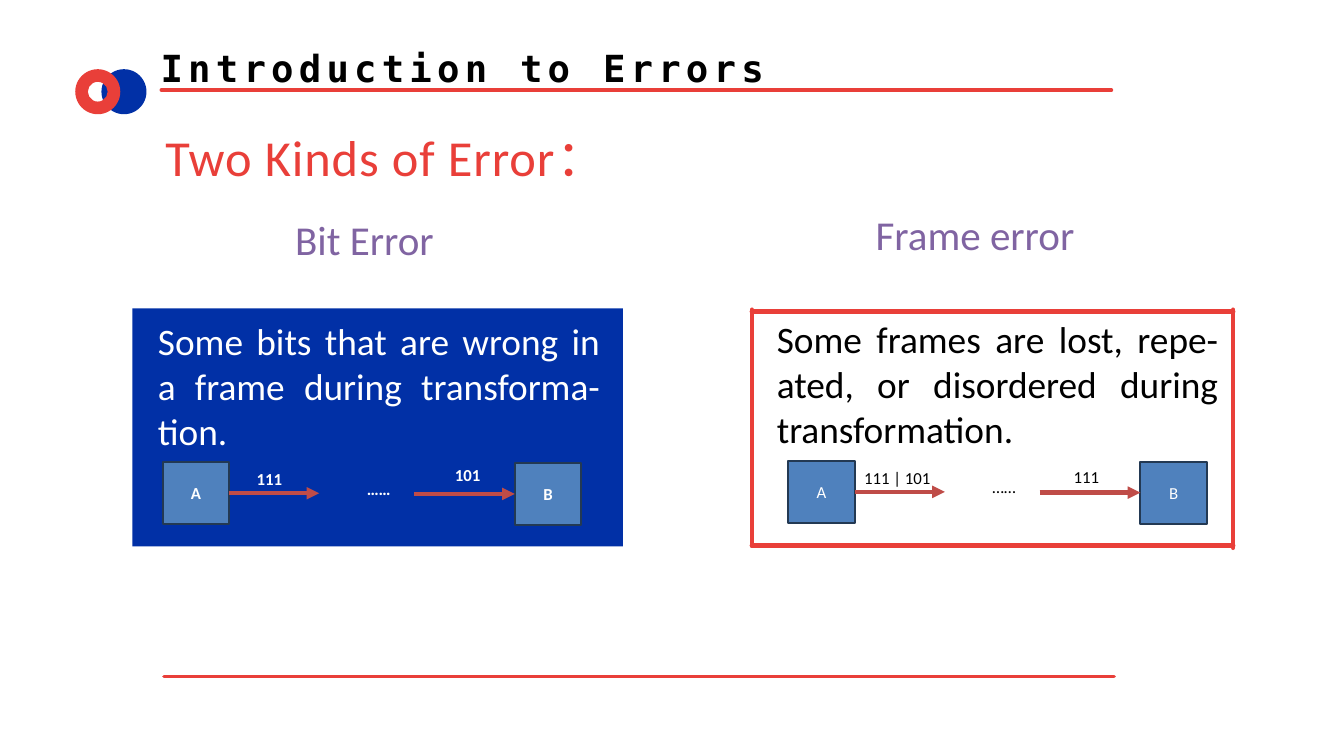
from dataclasses import dataclass

from lxml.etree import SubElement
from pptx import Presentation
from pptx.dml.color import RGBColor
from pptx.enum.shapes import MSO_CONNECTOR, MSO_SHAPE
from pptx.enum.text import MSO_ANCHOR, MSO_AUTO_SIZE, PP_ALIGN
from pptx.oxml.ns import qn
from pptx.util import Inches, Pt

RED, BLUE, PURPLE = "E93F39", "0130A6", "8064A2"
WHITE, BLACK = "FFFFFF", "000000"
NODE_FILL, NODE_LINE, ARROW = "4F81BD", "233953", "BF4C48"
NODE_WIDTH, NODE_HEIGHT, NODE_STEP = 0.99, 0.92, 5.24


@dataclass
class Style:
    size: float
    color: str
    bold: bool = False
    font: str = "Calibri"
    tracking: float = 0
    line_points: float = 0
    align: PP_ALIGN = PP_ALIGN.LEFT


@dataclass
class Label:
    text: str
    left: float
    top: float
    width: float = 0.99


@dataclass
class ErrorKind:
    name: str
    name_box: tuple[float, float, float, float]
    description: str
    description_box: tuple[float, float, float, float]
    left: float
    top: float
    receiver_drop: float
    color: str
    bold: bool
    labels: list[Label]


def rgb(color: str) -> RGBColor:
    return RGBColor.from_string(color)


def write(frame, text: str, style: Style) -> None:
    para = frame.paragraphs[0]
    para.alignment = style.align
    if style.line_points:
        para.line_spacing = Pt(style.line_points)
    span = para.add_run()
    span.text = text
    span.font.name = style.font
    span.font.size = Pt(style.size)
    span.font.bold = style.bold
    span.font.color.rgb = rgb(style.color)
    if style.tracking:
        span._r.get_or_add_rPr().set("spc", str(round(style.tracking * 100)))


def clear_margins(frame) -> None:
    frame.margin_left = frame.margin_right = 0
    frame.margin_top = frame.margin_bottom = 0


def add_text(page, text: str, bounds: tuple, style: Style, inset: bool = False) -> None:
    box = page.shapes.add_textbox(*map(Inches, bounds))
    frame = box.text_frame
    frame.word_wrap = True
    frame.auto_size = MSO_AUTO_SIZE.SHAPE_TO_FIT_TEXT
    if not inset:
        clear_margins(frame)
    write(frame, text, style)


def add_block(page, preset: MSO_SHAPE, bounds: tuple, fill: str, line: str = ""):
    shape = page.shapes.add_shape(preset, *map(Inches, bounds))
    shape.shadow.inherit = False
    shape.fill.solid()
    shape.fill.fore_color.rgb = rgb(fill)
    if line:
        shape.line.color.rgb = rgb(line)
        shape.line.width = Pt(2)
    else:
        shape.line.fill.background()
    return shape


def add_line(page, points: tuple, color: str, width: float, arrow: bool = False) -> None:
    line = page.shapes.add_connector(MSO_CONNECTOR.STRAIGHT, *map(Inches, points))
    line.line.color.rgb = rgb(color)
    line.line.width = Pt(width)
    outline = line.line._get_or_add_ln()
    if arrow:
        SubElement(outline, qn("a:tailEnd"), type="triangle")
    else:
        outline.set("cap", "rnd")
    SubElement(line._element.spPr, qn("a:effectLst"))


def add_node(page, name: str, left: float, top: float, bold: bool) -> None:
    bounds = (left, top, NODE_WIDTH, NODE_HEIGHT)
    node = add_block(page, MSO_SHAPE.RECTANGLE, bounds, NODE_FILL, NODE_LINE)
    node.text_frame.vertical_anchor = MSO_ANCHOR.MIDDLE
    write(node.text_frame, name, Style(18, WHITE, bold, align=PP_ALIGN.CENTER))


def add_error_kind(page, kind: ErrorKind) -> None:
    name_style = Style(44, PURPLE, line_points=36, align=PP_ALIGN.CENTER)
    add_text(page, kind.name, kind.name_box, name_style)
    body_style = Style(40, kind.color, align=PP_ALIGN.JUSTIFY)
    add_text(page, kind.description, kind.description_box, body_style)
    receiver = kind.left + NODE_STEP
    add_node(page, "A", kind.left, kind.top, kind.bold)
    add_node(page, "B", receiver, kind.top + kind.receiver_drop, kind.bold)
    middle = kind.top + NODE_HEIGHT / 2
    sender_edge = kind.left + NODE_WIDTH
    add_line(page, (sender_edge, middle, sender_edge + 1.34, middle), ARROW, 4.5, True)
    low = middle + 0.01
    add_line(page, (receiver - 1.5, low, receiver, low), ARROW, 4.5, True)
    for label in kind.labels:
        bounds = (label.left, label.top, label.width, 0.4)
        add_text(page, label.text, bounds, Style(18, kind.color, kind.bold), True)


KINDS = [
    ErrorKind(
        "Bit Error", (4.19, 3.42, 2.47, 0.54),
        "Some bits that are wrong in a frame during transforma-tion.",
        (2.35, 4.74, 6.58, 2.02), 2.42, 6.88, 0.01, WHITE, True,
        [Label("111", 3.72, 6.92), Label("101", 6.67, 6.87), Label("……", 5.36, 7.07)],
    ),
    ErrorKind(
        "Frame error", (12.95, 3.35, 3.12, 0.54),
        "Some frames are lost, repe-ated, or disordered during transformation.",
        (11.56, 4.71, 6.57, 2.02), 11.73, 6.86, 0.02, BLACK, False,
        [Label("111 | 101", 12.76, 6.91, 1.28), Label("111", 15.88, 6.9),
         Label("……", 14.67, 7.05)],
    ),
]


def main() -> None:
    deck = Presentation()
    deck.slide_width, deck.slide_height = Inches(20), Inches(11.25)
    page = deck.slides.add_slide(deck.slide_layouts[5])

    title = page.shapes.title
    title.left, title.top = Inches(2.39), Inches(0.69)
    title.width, title.height = Inches(11.24), Inches(0.65)
    frame = title.text_frame
    clear_margins(frame)
    frame.word_wrap = True
    frame.auto_size = MSO_AUTO_SIZE.NONE
    frame.vertical_anchor = MSO_ANCHOR.TOP
    write(frame, "Introduction to Errors",
          Style(40, BLACK, True, "DejaVu Sans Mono", 5.6, 46.2))

    add_block(page, MSO_SHAPE.OVAL, (1.51, 1.03, 0.67, 0.67), BLUE)
    ring = add_block(page, MSO_SHAPE.DONUT, (1.12, 1.03, 0.67, 0.67), RED)
    ring.adjustments[0] = 0.28
    for left, top in ((2.4, 1.34), (2.44, 10.07)):
        add_line(page, (left, top, left + 14.14, top), RED, 3.75)
    add_text(page, "Two Kinds of Error：", (2.46, 1.51, 7.3, 1.14),
             Style(54, RED, tracking=1, line_points=91, align=PP_ALIGN.JUSTIFY))

    add_block(page, MSO_SHAPE.RECTANGLE, (1.97, 4.59, 7.3, 3.54), BLUE)
    frame_edges = (
        (11.19, 4.64, 18.35, 4.64),
        (11.19, 8.12, 18.35, 8.12),
        (18.35, 4.61, 18.35, 8.15),
        (11.19, 4.61, 11.19, 8.12),
    )
    for edge in frame_edges:
        add_line(page, edge, RED, 5)

    for kind in KINDS:
        add_error_kind(page, kind)

    deck.save("out.pptx")


if __name__ == "__main__":
    main()
